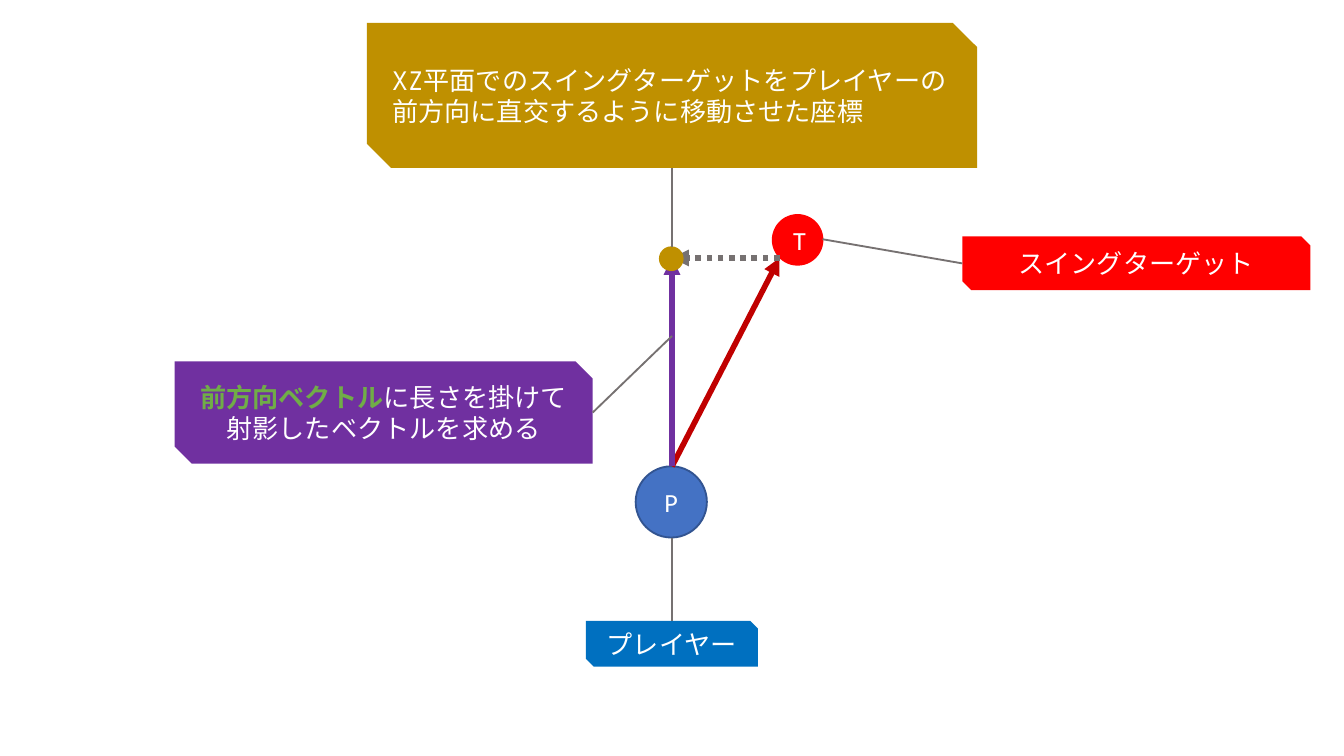
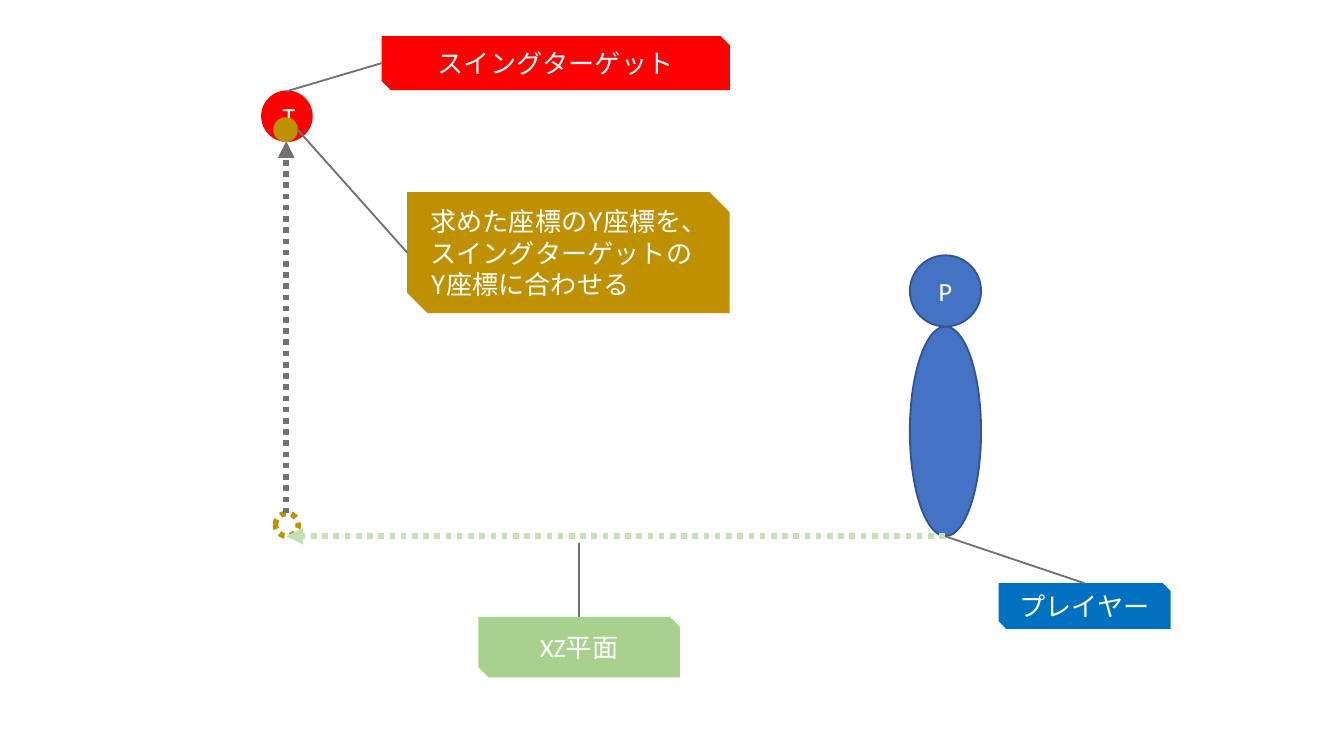
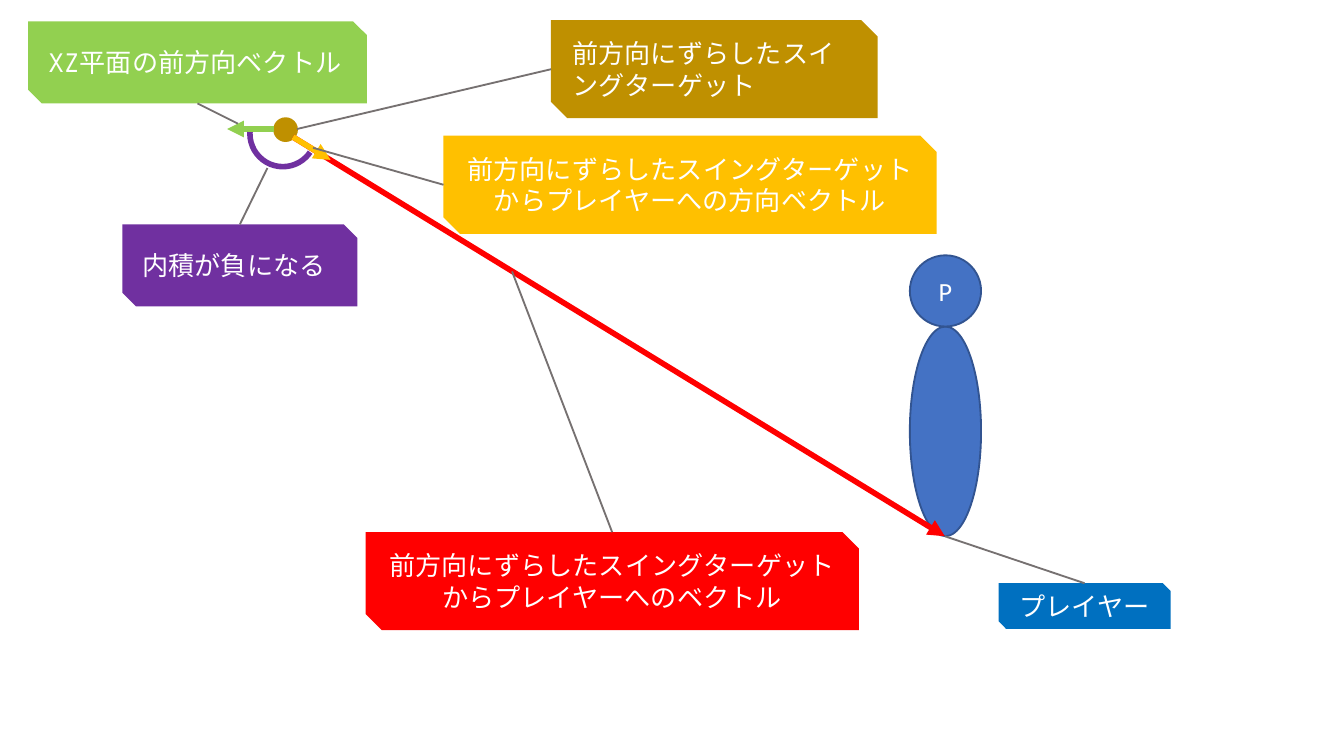
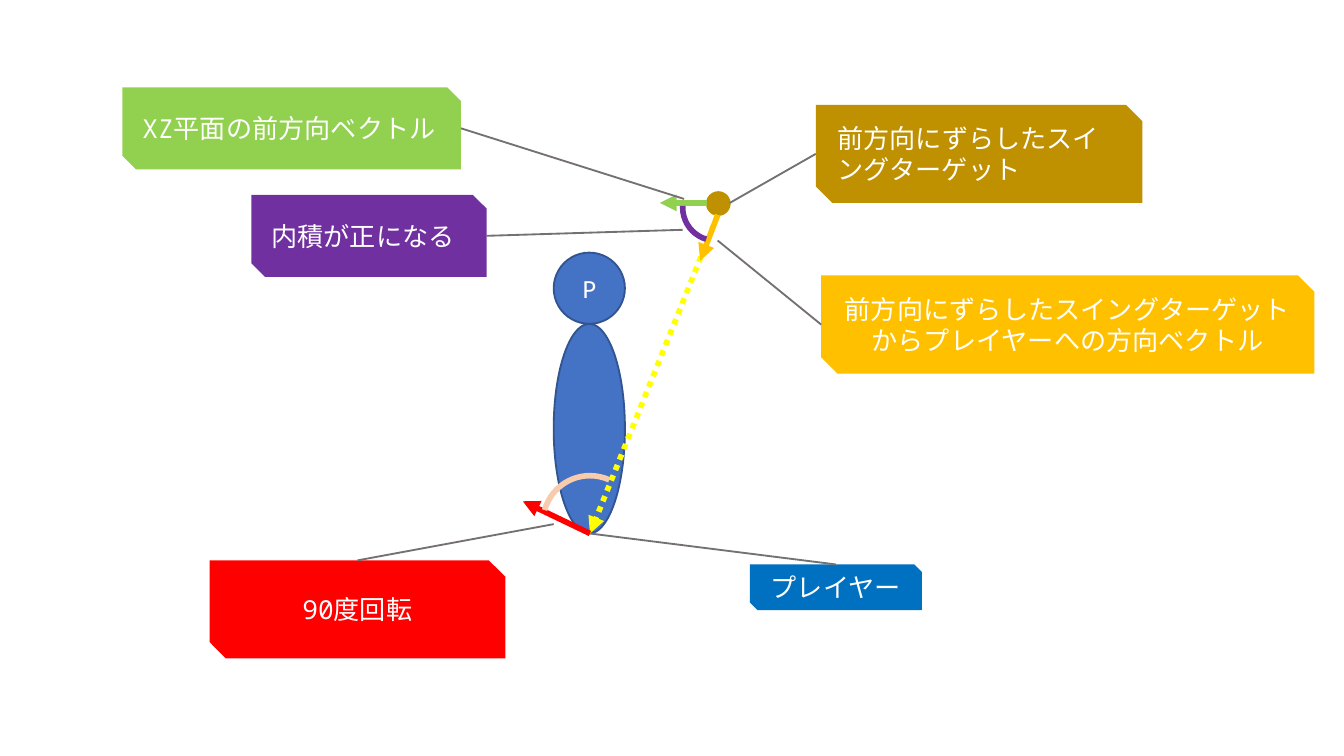
from dataclasses import dataclass

from lxml.etree import SubElement
from pptx import Presentation
from pptx.dml.color import RGBColor
from pptx.enum.dml import MSO_LINE
from pptx.enum.shapes import MSO_CONNECTOR, MSO_SHAPE
from pptx.enum.text import MSO_ANCHOR, PP_ALIGN
from pptx.oxml.ns import qn
from pptx.util import Pt

PX = 9144  # 100 px to the inch


@dataclass(frozen=True)
class Theme:
    player: str = "4472C4"
    player_edge: str = "325491"
    player_tag: str = "0070C0"
    red: str = "FF0000"
    dark_red: str = "C00000"
    purple: str = "7030A0"
    gold: str = "BF9000"
    amber: str = "FFC000"
    yellow: str = "FFFF00"
    green: str = "92D050"
    plane: str = "A9D18E"
    plane_line: str = "C5E0B4"
    accent_text: str = "70AD47"
    peach: str = "F8CBAD"
    gray: str = "767171"
    white: str = "FFFFFF"
    sans: str = "Calibri"
    mono: str = "Noto Sans Mono"
    text_size: int = 14
    thin: int = 1
    thick: int = 3


theme = Theme()
CIRCLE = MSO_SHAPE.FLOWCHART_CONNECTOR
LABEL = MSO_SHAPE.SNIP_2_DIAG_RECTANGLE
# Side of a snipped label: connection site, and position as fractions of its size
SIDES = {"right": (0, 1, 0.5), "bottom": (1, 0.5, 1), "left": (2, 0, 0.5), "top": (3, 0.5, 0)}


def add_figure(slide, kind, box, fill=None, edge=None, width=theme.thin,
               text="", font=theme.sans, align=PP_ALIGN.CENTER):
    shape = slide.shapes.add_shape(kind, *(value * PX for value in box))
    shape.shadow.inherit = False
    if fill:
        shape.fill.solid()
        shape.fill.fore_color.rgb = RGBColor.from_string(fill)
    else:
        shape.fill.background()
    if edge:
        shape.line.color.rgb = RGBColor.from_string(edge)
        shape.line.width = Pt(width)
    else:
        shape.line.fill.background()
    if text:
        frame = shape.text_frame
        frame.text = text
        frame.word_wrap = True
        frame.vertical_anchor = MSO_ANCHOR.MIDDLE
        paragraph = frame.paragraphs[0]
        paragraph.alignment = align
        for run in paragraph.runs:
            run.font.name = font
            run.font.size = Pt(theme.text_size)
            run.font.color.rgb = RGBColor.from_string(theme.white)
    return shape


def add_line(slide, start, end=None, color=theme.gray, dotted=False, label=None, side=None):
    """A thin leader to a side of a label, or a thick arrow to an end point."""
    if label:
        site, across, down = SIDES[side]
        end_x = int(label.left + label.width * across)
        end_y = int(label.top + label.height * down)
    else:
        end_x, end_y = end[0] * PX, end[1] * PX
    connector = slide.shapes.add_connector(
        MSO_CONNECTOR.STRAIGHT, start[0] * PX, start[1] * PX, end_x, end_y)
    if label:
        connector.end_connect(label, site)
        connector.end_x, connector.end_y = end_x, end_y
    connector.line.color.rgb = RGBColor.from_string(color)
    connector.line.width = Pt(theme.thin if label else theme.thick)
    if dotted:
        connector.line.dash_style = MSO_LINE.ROUND_DOT
    properties = connector.element.spPr
    if not label:
        SubElement(properties.find(qn("a:ln")), qn("a:tailEnd")).set("type", "triangle")
    SubElement(properties, qn("a:effectLst"))


presentation = Presentation()
presentation.slide_width = 1000 * PX
presentation.slide_height = 1000 * PX * 9 // 16
blank = presentation.slide_layouts[6]
top_view, height_view, negative_view, positive_view = [
    presentation.slides.add_slide(blank) for _ in range(4)]

# Standing player with its tag on the three side views
for slide, left, top, feet, tag_left, tag_top in [
    (height_view, 677, 190, (703, 399), 743, 434),
    (negative_view, 677, 190, (703, 399), 743, 434),
    (positive_view, 412, 188, (439, 397), 558, 420),
]:
    add_figure(slide, CIRCLE, (left, top + 53, 53, 156), theme.player, theme.player_edge)
    add_figure(slide, CIRCLE, (left, top, 53, 53), theme.player, theme.player_edge, text="P")
    tag = add_figure(slide, LABEL, (tag_left, tag_top, 128, 34), theme.player_tag, text="プレイヤー")
    add_line(slide, feet, label=tag, side="top")

# Swing target on the first two slides
for slide, circle_left, circle_top, label_left, label_top, anchor in [
    (top_view, 575, 160, 716, 176, (612, 178)),
    (height_view, 195, 68, 284, 27, (213, 68)),
]:
    add_figure(slide, CIRCLE, (circle_left, circle_top, 37, 37), theme.red, theme.red, text="T")
    target = add_figure(slide, LABEL, (label_left, label_top, 259, 40), theme.red,
                        text="スイングターゲット")
    add_line(slide, anchor, label=target, side="left")

# Slide 1: projection onto the forward direction, seen from above
add_figure(top_view, CIRCLE, (473, 347, 53, 53), theme.player, theme.player_edge, text="P")
tag = add_figure(top_view, LABEL, (436, 462, 128, 34), theme.player_tag, text="プレイヤー")
add_line(top_view, (500, 400), label=tag, side="top")
add_line(top_view, (500, 347), (580, 192), theme.dark_red)
add_line(top_view, (500, 347), (500, 192), theme.purple)
projection = add_figure(top_view, LABEL, (130, 269, 311, 76), theme.purple, text="前方向ベクトル")
paragraph = projection.text_frame.paragraphs[0]
paragraph.runs[0].font.bold = True
paragraph.runs[0].font.color.rgb = RGBColor.from_string(theme.accent_text)
run = paragraph.add_run()
run.text = "に長さを掛けて射影したベクトルを求める"
run.font.name = theme.sans
run.font.size = Pt(theme.text_size)
run.font.color.rgb = RGBColor.from_string(theme.white)
add_line(top_view, (580, 192), (500, 192), dotted=True)
add_figure(top_view, CIRCLE, (491, 184, 17, 17), theme.gold, theme.gold)
add_line(top_view, (500, 250), label=projection, side="right")
moved = add_figure(top_view, LABEL, (273, 17, 454, 108), theme.gold, font=theme.mono,
                   align=PP_ALIGN.LEFT,
                   text="XZ平面でのスイングターゲットをプレイヤーの前方向に直交するように移動させた座標")
add_line(top_view, (500, 184), label=moved, side="bottom")

# Slide 2: raising the point to the target's height
ground = add_figure(height_view, CIRCLE, (205, 382, 17, 17), edge=theme.gold, width=theme.thick)
ground.line.dash_style = MSO_LINE.ROUND_DOT
add_line(height_view, (213, 382), (213, 105), dotted=True)
add_figure(height_view, CIRCLE, (204, 88, 17, 17), theme.gold, theme.gold)
add_line(height_view, (703, 399), (213, 399), theme.plane_line, dotted=True)
plane = add_figure(height_view, LABEL, (356, 459, 150, 45), theme.plane, text="XZ平面")
add_line(height_view, (431, 404), label=plane, side="top")
raised = add_figure(height_view, LABEL, (303, 143, 240, 90), theme.gold, font=theme.mono,
                    align=PP_ALIGN.LEFT,
                    text="求めた座標のY座標を、スイングターゲットのY座標に合わせる")
add_line(height_view, (221, 96), label=raised, side="left")

# Slides 3 and 4: shifted target, its vectors and the angle between them
for slide, left, top, tail, tip, feet, path_color, dotted, arc_box, arc_start in [
    (negative_view, 204, 88, (218, 102), (246, 119), (703, 399), theme.red, False,
     (186, 75, 49, 49), 34.1),
    (positive_view, 526, 143, (534, 160), (521, 194), (439, 397), theme.yellow, True,
     (508, 130, 49, 49), 106.7),
]:
    add_figure(slide, CIRCLE, (left, top, 17, 17), theme.gold, theme.gold)
    add_line(slide, tail, feet, path_color, dotted)
    add_line(slide, tail, tip, theme.amber)
    add_line(slide, (left, top + 8), (left - 35, top + 8), theme.green)
    arc = add_figure(slide, MSO_SHAPE.ARC, arc_box, edge=theme.purple, width=theme.thick)
    arc.adjustments[0] = arc_start * 0.6
    arc.adjustments[1] = 182.9 * 0.6

# Labels of slides 3 and 4: box, fill, alignment, text, leader start and side
for slide, box, fill, align, text, anchor, side in [
    (negative_view, (410, 15, 243, 73), theme.gold, PP_ALIGN.LEFT,
     "前方向にずらしたスイングターゲット", (221, 96), "left"),
    (negative_view, (272, 396, 367, 73), theme.red, PP_ALIGN.CENTER,
     "前方向にずらしたスイングターゲットからプレイヤーへのベクトル", (381, 202), "top"),
    (negative_view, (21, 16, 252, 61), theme.green, PP_ALIGN.LEFT,
     "XZ平面の前方向ベクトル", (177, 92), "bottom"),
    (negative_view, (91, 167, 175, 61), theme.purple, PP_ALIGN.LEFT,
     "内積が負になる", (199, 125), "top"),
    (negative_view, (330, 101, 367, 73), theme.amber, PP_ALIGN.CENTER,
     "前方向にずらしたスイングターゲットからプレイヤーへの方向ベクトル", (233, 110), "left"),
    (positive_view, (607, 78, 243, 73), theme.gold, PP_ALIGN.LEFT,
     "前方向にずらしたスイングターゲット", (543, 151), "left"),
    (positive_view, (91, 65, 252, 61), theme.green, PP_ALIGN.LEFT,
     "XZ平面の前方向ベクトル", (509, 148), "right"),
    (positive_view, (187, 145, 175, 61), theme.purple, PP_ALIGN.LEFT,
     "内積が正になる", (508, 171), "right"),
    (positive_view, (611, 205, 367, 73), theme.amber, PP_ALIGN.CENTER,
     "前方向にずらしたスイングターゲットからプレイヤーへの方向ベクトル", (534, 179), "left"),
    (positive_view, (156, 417, 220, 73), theme.red, PP_ALIGN.CENTER,
     "90度回転", (412, 390), "top"),
]:
    label = add_figure(slide, LABEL, box, fill, text=text, font=theme.mono, align=align)
    add_line(slide, anchor, label=label, side=side)

# Slide 4: quarter turn at the player's feet
add_line(positive_view, (439, 397), (389, 373), theme.red)
turn = add_figure(positive_view, MSO_SHAPE.ARC, (404, 354, 70, 70),
                  edge=theme.peach, width=theme.thick)
turn.adjustments[0] = 195.6 * 0.6
turn.adjustments[1] = 294.2 * 0.6

presentation.save("out.pptx")
